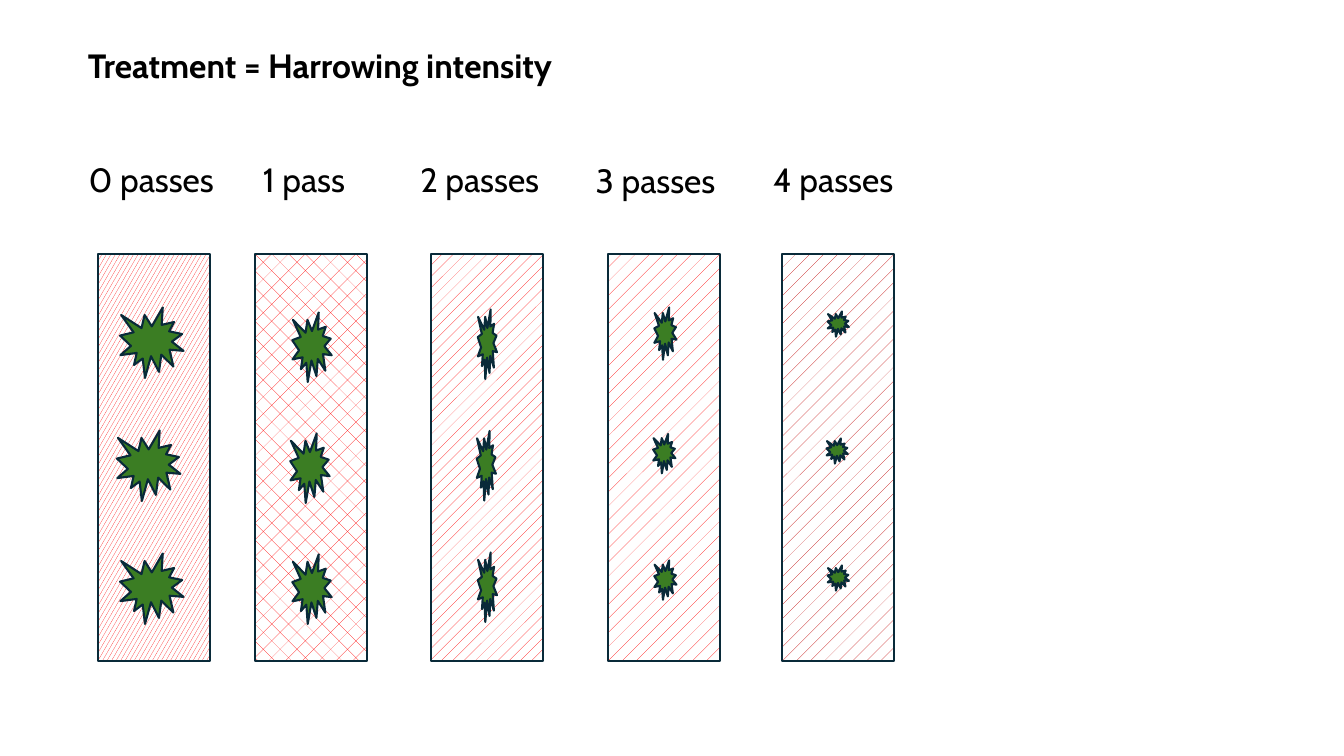
"""Builds the slide on harrowing intensity and the weeds left in each plot."""
from dataclasses import dataclass

from pptx import Presentation
from pptx.dml.color import RGBColor
from pptx.enum.dml import MSO_PATTERN
from pptx.enum.shapes import MSO_SHAPE
from pptx.enum.text import MSO_ANCHOR, MSO_AUTO_SIZE, PP_ALIGN
from pptx.util import Inches, Pt

SLIDE_WIDTH, SLIDE_HEIGHT = Inches(13.33), Inches(7.5)
BLACK = RGBColor(0x00, 0x00, 0x00)
WHITE = RGBColor(0xFF, 0xFF, 0xFF)
RED = RGBColor(0xFF, 0x00, 0x00)
DARK_RED = RGBColor(0xC0, 0x00, 0x00)
NAVY = RGBColor(0x09, 0x2A, 0x39)
GREEN = RGBColor(0x3B, 0x7D, 0x23)

PLOT_TOP, PLOT_WIDTH, PLOT_HEIGHT = 33.6, 8.33, 53.87
LABEL_HEIGHT = 6.67
WEED_ROWS = 3
FRAME_FORMAT = {
    "word_wrap": False,
    "auto_size": MSO_AUTO_SIZE.SHAPE_TO_FIT_TEXT,
    "vertical_anchor": MSO_ANCHOR.TOP,
}


@dataclass
class Weeds:
    """One column of weeds, in percent of the slide's size."""
    left: float
    top: float
    width: float
    height: float
    step: float
    middle_shift: float
    first_height: float = 0


@dataclass
class Treatment:
    """One harrowing treatment: its label, plot and weeds."""
    label: str
    label_left: float
    label_top: float
    label_width: float
    plot_left: float
    pattern: MSO_PATTERN
    soil: RGBColor
    weeds: Weeds


TREATMENTS = [
    Treatment("0 passes", 5.85, 20.4, 11.18, 7.28, MSO_PATTERN.LARGE_CONFETTI, RED,
              Weeds(8.93, 40.67, 4.73, 9.33, 16.27, 0.23)),
    Treatment("1 pass", 18.83, 20.4, 8.63, 18.98, MSO_PATTERN.DOTTED_DIAMOND, RED,
              Weeds(21.75, 41.33, 2.93, 9.2, 16, 0.15)),
    Treatment("2 passes", 30.53, 20.4, 11.18, 32.1, MSO_PATTERN.PERCENT_10, RED,
              Weeds(35.55, 40.93, 1.43, 9.2, 16.07, 0.08)),
    Treatment("3 passes", 43.58, 20.53, 11.18, 45.23, MSO_PATTERN.PERCENT_5, RED,
              Weeds(48.68, 40.67, 1.65, 5.2, 16.73, 0.08, 6.93)),
    Treatment("4 passes", 56.78, 20.4, 11.18, 58.2, MSO_PATTERN.PERCENT_5, DARK_RED,
              Weeds(61.58, 41.2, 1.58, 3.33, 16.8, 0.08)),
]


def box(left, top, width, height):
    """Turn percentages of the slide into lengths."""
    return (int(SLIDE_WIDTH * left / 100), int(SLIDE_HEIGHT * top / 100),
            int(SLIDE_WIDTH * width / 100), int(SLIDE_HEIGHT * height / 100))


def apply_format(target, values):
    """Set each named attribute on the target."""
    for attribute, value in values.items():
        setattr(target, attribute, value)


def write_text(holder, text, bold=False):
    """Write one left-aligned line of text into a text holder."""
    frame = holder.text_frame
    apply_format(frame, FRAME_FORMAT)
    paragraph = frame.paragraphs[0]
    paragraph.alignment = PP_ALIGN.LEFT
    run = paragraph.add_run()
    run.text = text
    apply_format(run.font, {"name": "Cabin", "size": Pt(24), "bold": bold})
    run.font.color.rgb = BLACK


def add_outlined(shapes, preset, *place):
    """Add a preset shape with the navy outline and no shadow."""
    outlined = shapes.add_shape(preset, *box(*place))
    outlined.shadow.inherit = False
    outlined.line.color.rgb = NAVY
    outlined.line.width = Pt(1.5)
    return outlined


def add_title(slide, text):
    """Place and fill the slide title."""
    title = slide.shapes.title
    places = box(5.78, 5.33, 38.03, LABEL_HEIGHT)
    apply_format(title, dict(zip(("left", "top", "width", "height"), places)))
    write_text(title, text, bold=True)


def add_plot(slide, treatment):
    """Add the hatched field strip of one treatment."""
    plot = add_outlined(slide.shapes, MSO_SHAPE.RECTANGLE, treatment.plot_left,
                        PLOT_TOP, PLOT_WIDTH, PLOT_HEIGHT)
    plot.fill.patterned()
    plot.fill.pattern = treatment.pattern
    plot.fill.fore_color.rgb = treatment.soil
    plot.fill.back_color.rgb = WHITE


def add_label(slide, treatment):
    """Add the number of passes above a plot."""
    label = slide.shapes.add_textbox(*box(treatment.label_left, treatment.label_top,
                                          treatment.label_width, LABEL_HEIGHT))
    write_text(label, treatment.label)


def add_weeds(slide, weeds):
    """Add a grouped column of weeds at equal steps."""
    column = slide.shapes.add_group_shape()
    for row in range(WEED_ROWS):
        left = weeds.left - (weeds.middle_shift if row == 1 else 0)
        height = weeds.first_height if row == 0 and weeds.first_height else weeds.height
        weed = add_outlined(column.shapes, MSO_SHAPE.EXPLOSION1, left,
                            weeds.top + row * weeds.step, weeds.width, height)
        weed.fill.solid()
        weed.fill.fore_color.rgb = GREEN


def main():
    """Build and save the slide."""
    presentation = Presentation()
    apply_format(presentation, {"slide_width": SLIDE_WIDTH, "slide_height": SLIDE_HEIGHT})
    slide = presentation.slides.add_slide(presentation.slide_layouts[5])
    for treatment in TREATMENTS:
        add_plot(slide, treatment)
    add_title(slide, "Treatment = Harrowing intensity")
    for treatment in TREATMENTS:
        add_label(slide, treatment)
    for treatment in TREATMENTS:
        add_weeds(slide, treatment.weeds)
    presentation.save("out.pptx")


if __name__ == "__main__":
    main()
